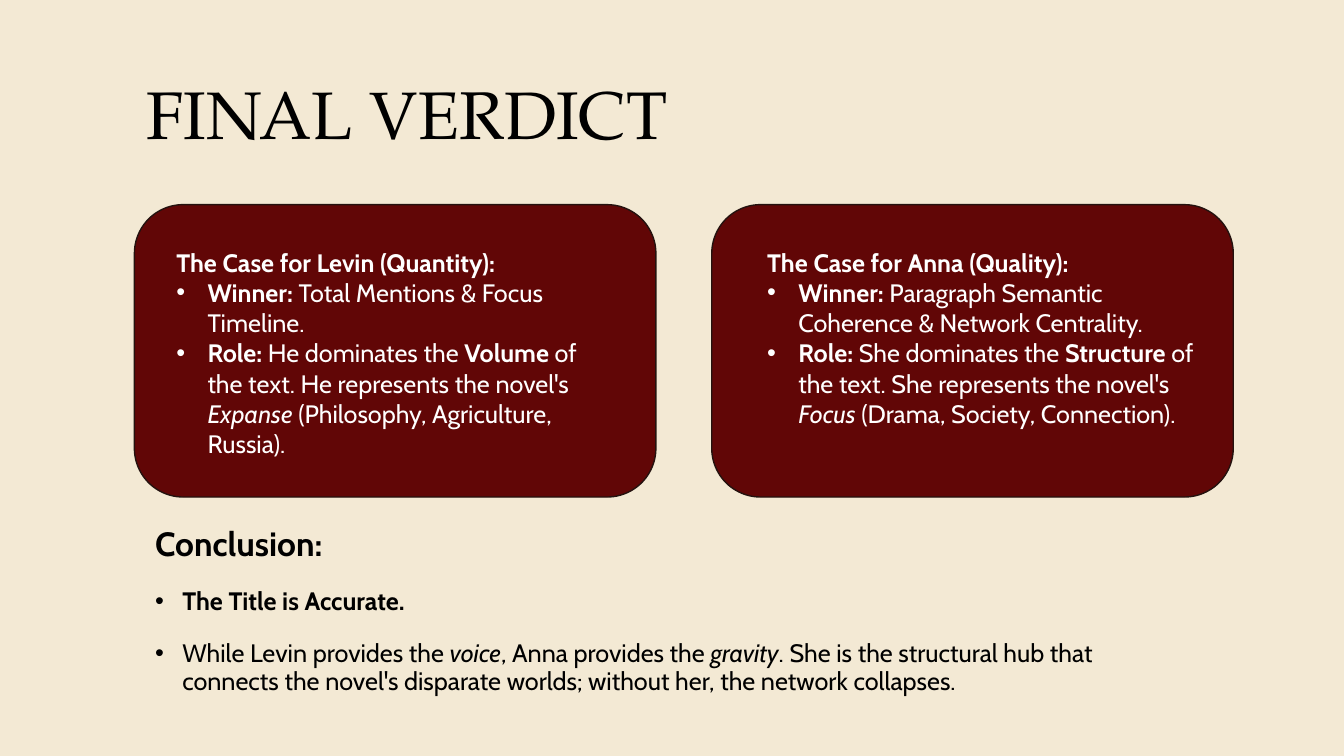
from pptx import Presentation
from pptx.dml.color import RGBColor
from pptx.enum.shapes import MSO_SHAPE
from pptx.enum.text import MSO_ANCHOR, PP_ALIGN
from pptx.oxml.ns import qn
from pptx.util import Inches, Pt
from lxml.etree import SubElement

THEME = {
    "background": RGBColor.from_string("F3E9D4"),
    "card": RGBColor.from_string("610606"),
    "outline": RGBColor.from_string("24120F"),
    "dark": RGBColor.from_string("000000"),
    "light": RGBColor.from_string("FFFFFF"),
    "title": {"name": "TeX Gyre Pagella", "size": Pt(48), "bold": False},
    "heading": {"name": "Cabin", "size": Pt(24)},
    "text": {"name": "Cabin", "size": Pt(18)},
}

presentation = Presentation()
presentation.slide_width = Inches(13.33)
presentation.slide_height = Inches(7.5)
column = presentation.slide_width / 100
row = presentation.slide_height / 100


def area(left, top, width, height):
    return [round(left * column), round(top * row), round(width * column), round(height * row)]


def write_paragraphs(frame, paragraphs, color, heading, indent, spacing):
    frame.word_wrap = True
    for index, runs in enumerate(paragraphs):
        paragraph = frame.add_paragraph() if index else frame.paragraphs[0]
        for name, value in spacing.items():
            if index or name != "space_before":
                setattr(paragraph, name, value)
        if index:
            properties = paragraph._p.get_or_add_pPr()
            properties.set("marL", str(Inches(indent)))
            properties.set("indent", str(-Inches(indent)))
            SubElement(properties, qn("a:buFont")).set("typeface", "Arial")
            SubElement(properties, qn("a:buChar")).set("char", "•")
        for style, text in runs:
            run = paragraph.add_run()
            run.text = text
            font_format = {**THEME["text" if index else heading],
                           "bold": style == "bold", "italic": style == "italic"}
            for name, value in font_format.items():
                setattr(run.font, name, value)
            run.font.color.rgb = color


slide = presentation.slides.add_slide(presentation.slide_layouts[5])
slide.background.fill.solid()
slide.background.fill.fore_color.rgb = THEME["background"]

title = slide.shapes.title
title.left, title.top, title.width, title.height = area(1.95, 8.93, 56.7, 16.13)
title.text_frame.text = "FINAL VERDICT"
title.text_frame.vertical_anchor = MSO_ANCHOR.TOP
title_paragraph = title.text_frame.paragraphs[0]
title_paragraph.alignment = PP_ALIGN.CENTER
for name, value in THEME["title"].items():
    setattr(title_paragraph.runs[0].font, name, value)
title_paragraph.runs[0].font.color.rgb = THEME["dark"]

cases = [
    (10, 12.38, 34.13, [
        [("bold", "The Case for Levin (Quantity):")],
        [("bold", "Winner:"), ("plain", " Total Mentions & Focus Timeline.")],
        [("bold", "Role:"), ("plain", " He dominates the "), ("bold", "Volume"),
         ("plain", " of the text. He represents the novel's "), ("italic", "Expanse"),
         ("plain", " (Philosophy, Agriculture, Russia).")],
    ]),
    (52.96, 56.34, 33.68, [
        [("bold", "The Case for Anna (Quality):")],
        [("bold", "Winner:"), ("plain", " Paragraph Semantic Coherence & Network Centrality.")],
        [("bold", "Role:"), ("plain", " She dominates the "), ("bold", "Structure"),
         ("plain", " of the text. She represents the novel's "), ("italic", "Focus"),
         ("plain", " (Drama, Society, Connection).")],
    ]),
]
for card_left, text_left, text_width, paragraphs in cases:
    card = slide.shapes.add_shape(MSO_SHAPE.ROUNDED_RECTANGLE, *area(card_left, 27.07, 38.8, 38.67))
    card.shadow.inherit = False
    card.fill.solid()
    card.fill.fore_color.rgb = THEME["card"]
    card.line.color.rgb = THEME["outline"]
    card.line.width = Pt(1)
    case_text = slide.shapes.add_textbox(*area(text_left, 32, text_width, 33.6))
    write_paragraphs(case_text.text_frame, paragraphs, THEME["light"], "text", 0.31, {})

conclusion = slide.shapes.add_textbox(*area(10.8, 69.07, 75, 28.13))
conclusion_paragraphs = [
    [("bold", "Conclusion:")],
    [("bold", "The Title is Accurate.")],
    [("plain", "While Levin provides the "), ("italic", "voice"),
     ("plain", ", Anna provides the "), ("italic", "gravity"),
     ("plain", ". She is the structural hub that connects the novel's disparate worlds; "
               "without her, the network collapses.")],
]
write_paragraphs(conclusion.text_frame, conclusion_paragraphs, THEME["dark"], "heading", 0.27,
                 {"line_spacing": 0.9, "space_before": Pt(18)})

presentation.save("out.pptx")
